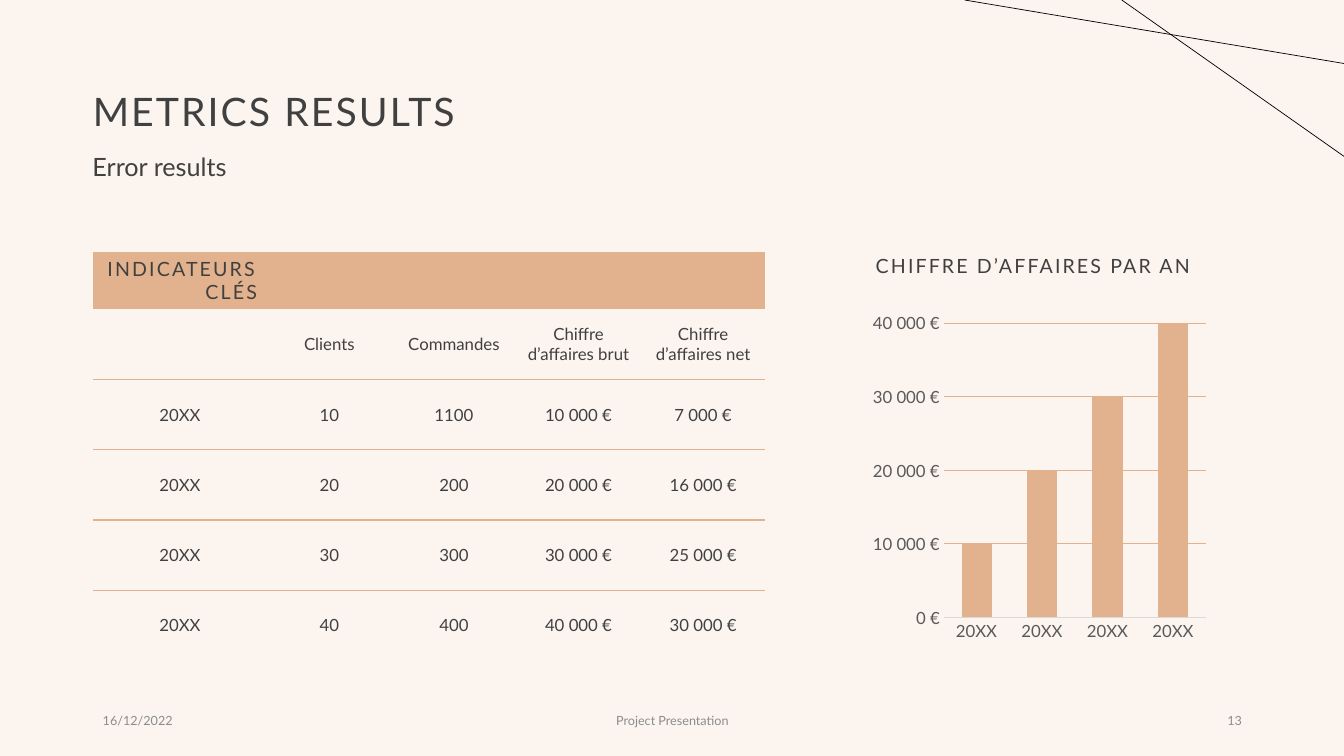
"""Build the metrics results slide with its table and revenue chart."""
from lxml.etree import SubElement
from pptx import Presentation
from pptx.chart.data import CategoryChartData
from pptx.dml.color import RGBColor
from pptx.enum.chart import XL_CHART_TYPE, XL_TICK_MARK
from pptx.enum.shapes import MSO_CONNECTOR
from pptx.enum.text import MSO_ANCHOR, MSO_AUTO_SIZE, PP_ALIGN
from pptx.oxml.ns import qn
from pptx.util import Cm, Pt

CREAM = RGBColor(0xFB, 0xF4, 0xEF)
PEACH = RGBColor(0xE2, 0xB1, 0x8D)
DARK = RGBColor(0x40, 0x40, 0x40)
AXIS_GREY = RGBColor(0x59, 0x59, 0x59)
FOOTER_GREY = RGBColor(0x8C, 0x8C, 0x8C)
LIGHT_GREY = RGBColor(0xD9, 0xD9, 0xD9)
BLACK = RGBColor(0, 0, 0)
FONT = "Lato"
NO_STYLE = "{2D5ABB26-0587-4C30-8999-92F81FD0307C}"

ROWS = [
    ["INDICATEURS CLÉS", "", "", "", ""],
    ["", "Clients", "Commandes", "Chiffre d’affaires brut", "Chiffre d’affaires net"],
    ["20XX", "10", "1100", "10 000 €", "7 000 €"],
    ["20XX", "20", "200", "20 000 €", "16 000 €"],
    ["20XX", "30", "300", "30 000 €", "25 000 €"],
    ["20XX", "40", "400", "40 000 €", "30 000 €"],
]
COL_WIDTHS = [4.39] + [3.14] * 4
ROW_HEIGHTS = [0.86] + [1.77] * 5


def set_font(font, size, color):
    """Apply the slide font with a size and colour."""
    font.name = FONT
    font.size = Pt(size)
    font.color.rgb = color


def write(tf, text, size, color=DARK, align=PP_ALIGN.LEFT, spacing=0):
    """Write one formatted paragraph into a text frame."""
    p = tf.paragraphs[0]
    p.text = text
    p.alignment = align
    set_font(p.font, size, color)
    if spacing:
        p._p.get_or_add_pPr().get_or_add_defRPr().set("spc", str(int(spacing * 100)))
    return p


def add_title(slide, text):
    """Place and format the title placeholder."""
    sp = slide.shapes.title
    sp.left, sp.top, sp.width, sp.height = Cm(2.34), Cm(1.02), Cm(29.21), Cm(3.68)
    tf = sp.text_frame
    tf.auto_size = MSO_AUTO_SIZE.NONE
    tf.vertical_anchor = MSO_ANCHOR.MIDDLE
    tf.margin_left = 0
    write(tf, text, 28, spacing=1.5).line_spacing = 0.9


def add_text(slide, box, text, size, anchor=MSO_ANCHOR.TOP, **style):
    """Add a wrapped text box and return its paragraph."""
    tf = slide.shapes.add_textbox(*map(Cm, box)).text_frame
    tf.word_wrap = True
    tf.vertical_anchor = anchor
    return write(tf, text, size, **style)


def add_bottom_border(cell):
    """Draw a peach line under a cell."""
    ln = SubElement(cell._tc.get_or_add_tcPr(), qn("a:lnB"), w=str(Pt(1)))
    fill = SubElement(ln, qn("a:solidFill"))
    SubElement(fill, qn("a:srgbClr"), val=str(PEACH))


def add_metrics_table(slide):
    """Add the key indicator table."""
    frame = slide.shapes.add_table(
        len(ROWS), len(COL_WIDTHS), Cm(2.34), Cm(6.35),
        Cm(sum(COL_WIDTHS)), Cm(sum(ROW_HEIGHTS)))
    table = frame.table
    table.first_row = table.horz_banding = False
    table._tbl.tblPr.find(qn("a:tableStyleId")).text = NO_STYLE
    for column, width in zip(table.columns, COL_WIDTHS):
        column.width = Cm(width)
    for i, (row, height, texts) in enumerate(zip(table.rows, ROW_HEIGHTS, ROWS)):
        row.height = Cm(height)
        for cell, text in zip(row.cells, texts):
            cell.vertical_anchor = MSO_ANCHOR.MIDDLE
            if i == 0:
                write(cell.text_frame, text, 14, align=PP_ALIGN.RIGHT, spacing=1.5)
                cell.fill.solid()
                cell.fill.fore_color.rgb = PEACH
                continue
            write(cell.text_frame, text, 12, align=PP_ALIGN.CENTER)
            if i < len(ROWS) - 1:
                add_bottom_border(cell)
            cell.fill.background()


def add_revenue_chart(slide):
    """Add the yearly revenue column chart."""
    data = CategoryChartData()
    data.categories = ["20XX"] * 4
    data.add_series("Series 1", [10000, 20000, 30000, 40000])
    chart = slide.shapes.add_chart(
        XL_CHART_TYPE.COLUMN_CLUSTERED, Cm(21.82), Cm(7.72), Cm(8.74), Cm(8.61), data).chart
    chart.has_legend = False
    chart.has_title = False
    set_font(chart.font, 10, BLACK)
    plot = chart.plots[0]
    plot.gap_width = 118
    plot.overlap = -3
    plot.vary_by_categories = False
    fill = plot.series[0].format.fill
    fill.solid()
    fill.fore_color.rgb = PEACH
    years, revenue = chart.category_axis, chart.value_axis
    for axis in (years, revenue):
        axis.major_tick_mark = axis.minor_tick_mark = XL_TICK_MARK.NONE
        set_font(axis.tick_labels.font, 12, AXIS_GREY)
    years.format.line.color.rgb = LIGHT_GREY
    years.format.line.width = Pt(0.75)
    revenue.format.line.fill.background()
    revenue.minimum_scale = 0
    revenue.maximum_scale = 40000
    revenue.major_unit = 10000
    grid = revenue.major_gridlines.format.line
    grid.color.rgb = PEACH
    grid.width = Pt(0.75)
    revenue.tick_labels.number_format = '#\\ ##0\\ "€"'
    revenue.tick_labels.number_format_is_linked = False


def add_line(slide, *ends):
    """Add a thin black decorative line."""
    line = slide.shapes.add_connector(MSO_CONNECTOR.STRAIGHT, *map(Cm, ends))
    line.line.color.rgb = BLACK
    line.line.width = Pt(0.5)
    SubElement(line._element.spPr, qn("a:effectLst"))


def main():
    """Build and save the presentation."""
    prs = Presentation()
    prs.slide_width, prs.slide_height = Cm(33.87), Cm(19.05)
    slide = prs.slides.add_slide(prs.slide_layouts[5])
    slide.background.fill.solid()
    slide.background.fill.fore_color.rgb = CREAM

    add_title(slide, "METRICS RESULTS")
    add_text(slide, (2.08, 3.78, 18.8, 1.37), "Error results", 18).line_spacing = 0.9
    add_metrics_table(slide)
    heading = add_text(slide, (21.82, 6.35, 8.74, 0.86), "CHIFFRE D’AFFAIRES PAR AN",
                       14, spacing=1.5)
    heading.line_spacing = 0.9
    for left, width, text, align in (
            (2.34, 7.62, "16/12/2022", PP_ALIGN.LEFT),
            (11.23, 11.43, "Project Presentation", PP_ALIGN.CENTER),
            (23.93, 7.62, "13", PP_ALIGN.RIGHT)):
        add_text(slide, (left, 17.65, width, 1.02), text, 9, MSO_ANCHOR.MIDDLE,
                 color=FOOTER_GREY, align=align)
    add_line(slide, 28.27, 0, 33.87, 3.94)
    add_line(slide, 24.31, 0, 33.87, 1.6)
    add_revenue_chart(slide)
    prs.save("out.pptx")


if __name__ == "__main__":
    main()
